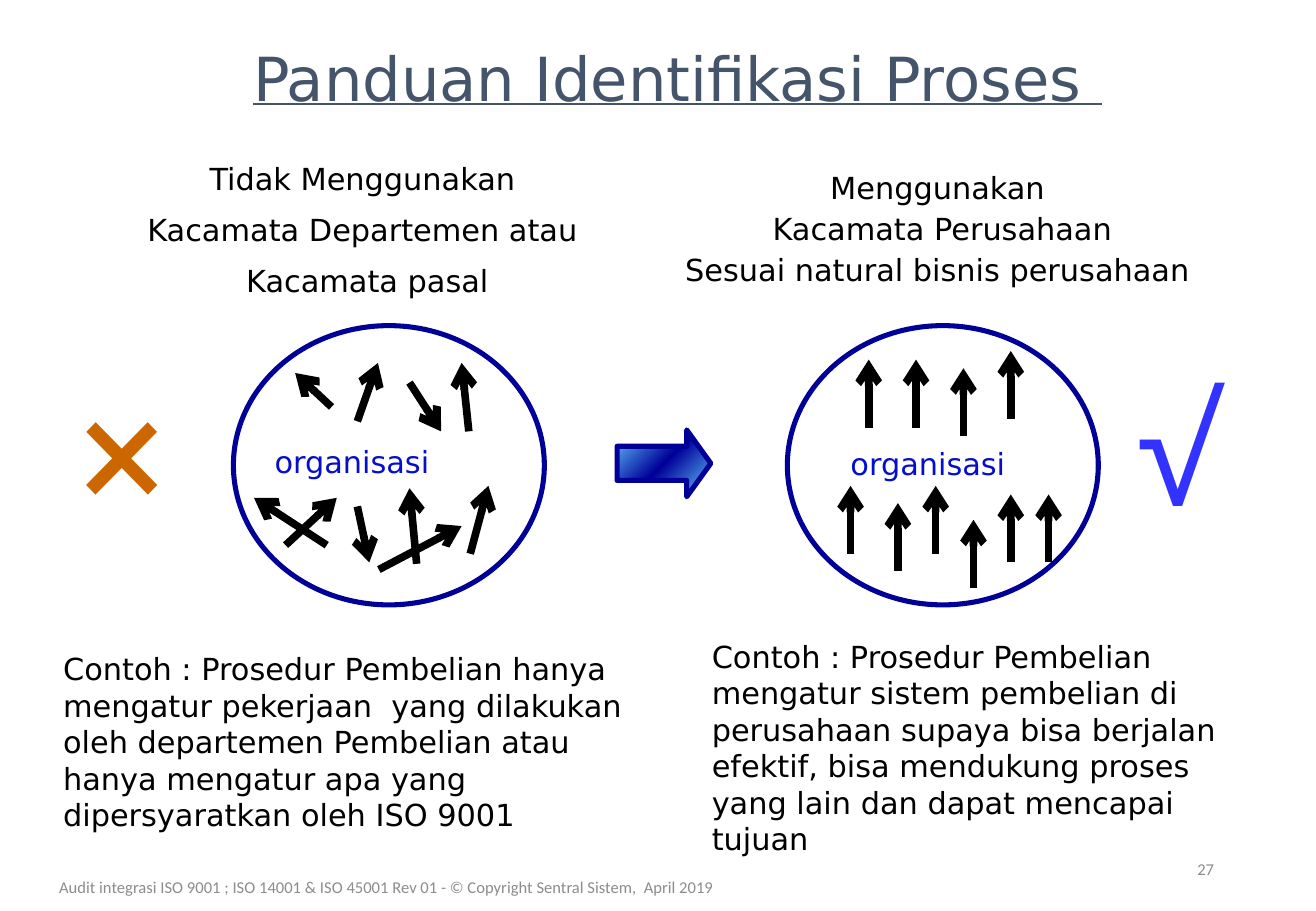
from copy import deepcopy

from pptx import Presentation
from pptx.dml.color import RGBColor
from pptx.enum.shapes import MSO_CONNECTOR as CONN, MSO_SHAPE as SHAPE
from pptx.enum.text import MSO_ANCHOR as ANCHOR, PP_ALIGN as ALIGN
from pptx.oxml.ns import qn
from pptx.util import Cm, Pt
from lxml import etree

BLACK = RGBColor(0x00, 0x00, 0x00)
WHITE = RGBColor(0xFF, 0xFF, 0xFF)
NAVY = RGBColor(0x00, 0x00, 0x99)
SKY = RGBColor(0x66, 0xCC, 0xFF)
BLUE = RGBColor(0x06, 0x0D, 0xCC)
CHECK_BLUE = RGBColor(0x33, 0x33, 0xFF)
ORANGE = RGBColor(0xCC, 0x66, 0x00)
SLATE = RGBColor(0x44, 0x54, 0x6A)
GREY = RGBColor(0x8C, 0x8C, 0x8C)
BODY_FONT = "DejaVu Sans"

# All lengths below are in centimetres.
TITLE = "Panduan Identifikasi Proses "
HEADINGS = [  # box, lines, line spacing of each line
    ((2.03, 3.43, 11.3, 3.1),
     ["Tidak Menggunakan ", "Kacamata Departemen atau ", "Kacamata pasal"],
     [0.7, 1.0, 1.0]),
    ((14, 3.63, 11.4, 2.64),
     ["Menggunakan ", "Kacamata Perusahaan", "Sesuai natural bisnis perusahaan "],
     [0.7, 0.7, 0.7]),
]
EXAMPLES = [
    ((1.07, 14.17, 13.03, 2.67),
     "Contoh : Prosedur Pembelian hanya mengatur pekerjaan  yang dilakukan oleh "
     "departemen Pembelian atau hanya mengatur apa yang dipersyaratkan oleh ISO 9001"),
    ((14.63, 13.13, 12.04, 5),
     "Contoh : Prosedur Pembelian mengatur sistem pembelian di perusahaan supaya bisa "
     "berjalan efektif, bisa mendukung proses yang lain dan dapat mencapai tujuan"),
]
MARKS = [  # left, sign, size, font, colour
    (1.42, "×", 96, "Roboto", ORANGE),
    (23.52, "√", 88, "Open Sans", CHECK_BLUE),
]
FOOTERS = [
    ((19.43, 17.65, 6.2, 1.02), "27", ALIGN.RIGHT),
    ((0, 18.03, 16.15, 1.02),
     "Audit integrasi ISO 9001 ; ISO 14001 & ISO 45001 Rev 01 - "
     "© Copyright Sentral Sistem,  April 2019", ALIGN.CENTER),
]
ORGANISATIONS = [  # left of ellipse, box of label
    (4.88, (5.74, 9.27, 4.09, 0.84)),
    (16.46, (17.78, 9.3, 4.45, 0.84)),
]
SCATTERED_ARROWS = [  # x1, y1, x2, y2
    (8.56, 8, 9.22, 9.02), (9.8, 9.02, 9.65, 7.59),
    (6.93, 8.51, 6.17, 7.8), (7.47, 8.81, 7.9, 7.59),
    (6.83, 11.4, 5.31, 10.41), (5.97, 11.4, 7.04, 10.41),
    (7.47, 10.59, 7.72, 11.76), (7.92, 11.91, 9.65, 11),
    (8.71, 11.79, 8.56, 10.21), (9.83, 11.58, 10.21, 10.16),
]
ALIGNED_LENGTH = 1.42
ALIGNED_ARROWS = [  # x, y of tip
    (18.16, 7.52), (19.15, 7.52), (20.14, 7.7), (21.13, 7.34),
    (17.78, 10.16), (18.77, 10.52), (19.56, 10.16),
    (20.35, 10.87), (21.13, 10.34), (21.92, 10.34),
]


def add_text(s, box, lines, size=18, color=BLACK, font=BODY_FONT, align=ALIGN.LEFT,
             anchor=ANCHOR.MIDDLE, spacing=None, underline=None):
    tb = s.shapes.add_textbox(*map(Cm, box))
    tf = tb.text_frame
    tf.word_wrap = True
    tf.vertical_anchor = anchor
    for i, line in enumerate(lines):
        p = tf.paragraphs[0] if i == 0 else tf.add_paragraph()
        p.alignment = align
        if spacing:
            p.line_spacing = spacing[i]
        if i:
            p.space_before = Pt(9)
        r = p.add_run()
        r.text = line
        r.font.size, r.font.name = Pt(size), font
        r.font.color.rgb = color
        r.font.underline = underline
    return tb


def add_arrow(s, x1, y1, x2, y2):
    c = s.shapes.add_connector(CONN.STRAIGHT, Cm(x1), Cm(y1), Cm(x2), Cm(y2))
    c.line.color.rgb = BLACK
    c.line.width = Pt(4.5)
    etree.SubElement(c.line._get_or_add_ln(), qn("a:tailEnd"), type="arrow")
    etree.SubElement(c._element.spPr, qn("a:effectLst"))


def add_outlined(s, kind, box):
    sp = s.shapes.add_shape(kind, *map(Cm, box))
    sp.shadow.inherit = False
    sp.line.color.rgb = NAVY
    sp.line.width = Pt(3)
    return sp


def add_organisation(s, left, label_box):
    add_outlined(s, SHAPE.OVAL, (left, 6.81, 6.5, 5.84)).fill.background()
    label = add_text(s, label_box, ["organisasi"], color=BLUE, anchor=ANCHOR.TOP)
    label.fill.solid()
    label.fill.fore_color.rgb = WHITE
    tf = label.text_frame
    tf.margin_left = tf.margin_right = tf.margin_top = tf.margin_bottom = 0


def add_transition(s):
    """Block arrow from the left organisation to the right one."""
    sp = add_outlined(s, SHAPE.RIGHT_ARROW, (12.9, 8.99, 1.96, 1.4))
    sp.adjustments[0], sp.adjustments[1] = 0.51, 0.36
    sp.fill.gradient()
    sp.fill.gradient_angle = 315
    stops = sp.fill.gradient_stops
    for stop, color, position in zip(stops, (SKY, NAVY), (0, 0.5)):
        stop.color.rgb = color
        stop.position = position
    gs_list = sp._element.spPr.find(qn("a:gradFill")).find(qn("a:gsLst"))
    last = deepcopy(gs_list[0])
    last.set("pos", "100000")
    gs_list.append(last)


def main():
    prs = Presentation()
    prs.slide_width, prs.slide_height = Cm(27.51), Cm(19.05)
    s = prs.slides.add_slide(prs.slide_layouts[6])

    add_text(s, (3.63, 0.2, 21.06, 2.82), [TITLE], 36, SLATE,
             align=ALIGN.CENTER, underline=True)
    for box, lines, spacing in HEADINGS:
        add_text(s, box, lines, align=ALIGN.CENTER, anchor=ANCHOR.TOP, spacing=spacing)
    for left, label_box in ORGANISATIONS:
        add_organisation(s, left, label_box)
    for arrow in SCATTERED_ARROWS:
        add_arrow(s, *arrow)
    for x, tip in ALIGNED_ARROWS:
        add_arrow(s, x, tip + ALIGNED_LENGTH, x, tip)
    add_transition(s)
    for left, sign, size, font, color in MARKS:
        add_text(s, (left, 8, 3.02, 2.67), [sign], size, color, font)
    for box, text in EXAMPLES:
        add_text(s, box, [text])
    for box, text, align in FOOTERS:
        add_text(s, box, [text], 9.8, GREY, "Calibri", align)

    prs.save("out.pptx")


if __name__ == "__main__":
    main()
